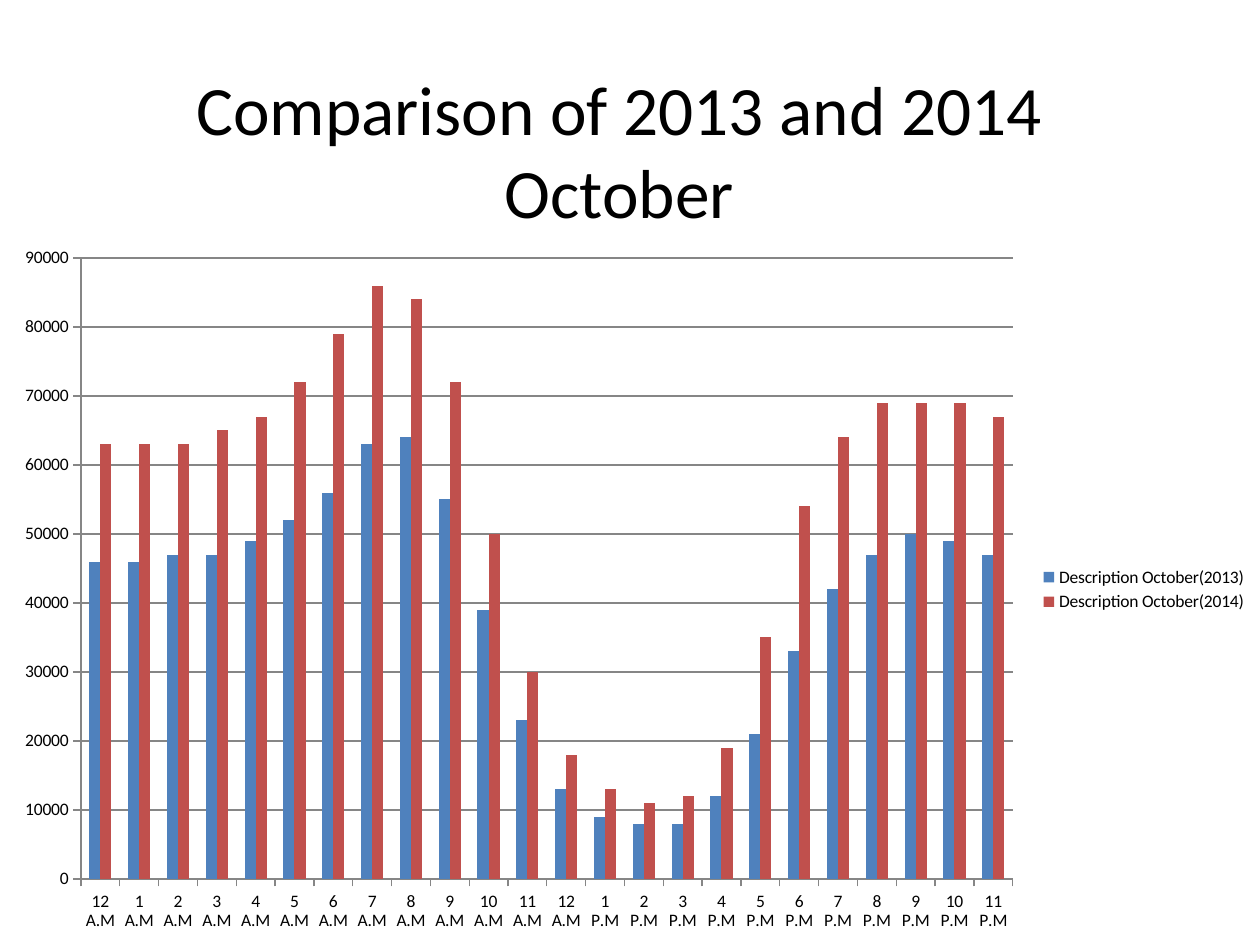
from pptx import Presentation
from pptx.chart.data import CategoryChartData
from pptx.dml.color import RGBColor
from pptx.enum.chart import XL_CHART_TYPE, XL_LEGEND_POSITION, XL_TICK_MARK
from pptx.enum.text import MSO_ANCHOR, MSO_AUTO_SIZE, PP_ALIGN
from pptx.util import Pt

COLUMNS = XL_CHART_TYPE.COLUMN_CLUSTERED
LEGEND_RIGHT = XL_LEGEND_POSITION.RIGHT
TICK_OUTSIDE = XL_TICK_MARK.OUTSIDE
MIDDLE = MSO_ANCHOR.MIDDLE
NO_AUTOFIT = MSO_AUTO_SIZE.NONE
CENTER = PP_ALIGN.CENTER

BLACK = RGBColor(0x00, 0x00, 0x00)
GRAY = RGBColor(0x86, 0x86, 0x86)
BLUE = RGBColor(0x4F, 0x81, 0xBD)
RED = RGBColor(0xC0, 0x50, 0x4D)
FONT = "Calibri"
EMU_PER_PIXEL = 914400 / 126

HOURS = [f"{hour} {half}" for half in ("A.M", "P.M") for hour in (12, *range(1, 12))]
HOURS[12] = "12 A.M"  # the second twelve is labelled A.M as well

# Series name, colour, hourly values in thousands
SERIES = [
    ("Description October(2013)", BLUE,
     [46, 46, 47, 47, 49, 52, 56, 63, 64, 55, 39, 23,
      13, 9, 8, 8, 12, 21, 33, 42, 47, 50, 49, 47]),
    ("Description October(2014)", RED,
     [63, 63, 63, 65, 67, 72, 79, 86, 84, 72, 50, 30,
      18, 13, 11, 12, 19, 35, 54, 64, 69, 69, 69, 67]),
]


def px(length):
    return round(length * EMU_PER_PIXEL)


def set_font(font, size):
    font.name = FONT
    font.size = Pt(size)
    font.color.rgb = BLACK


def place_title(page, box, text):
    title = page.shapes.title
    title.left, title.top, title.width, title.height = map(px, box)
    frame = title.text_frame
    frame.word_wrap = True
    frame.auto_size = NO_AUTOFIT
    frame.vertical_anchor = MIDDLE
    # The bottom inset lifts the heading clear of the chart
    frame.margin_top, frame.margin_bottom = 0, px(76)
    para = frame.paragraphs[0]
    para.text = text
    para.alignment = CENTER
    set_font(para.font, 39.6)


def place_chart(page, box):
    data = CategoryChartData(number_format="General")
    data.categories = HOURS
    for name, _, thousands in SERIES:
        data.add_series(name, [value * 1000 for value in thousands])
    chart = page.shapes.add_chart(COLUMNS, *map(px, box), data).chart
    set_font(chart.font, 10)
    chart.has_title = False

    # Legend
    chart.has_legend = True
    chart.legend.position = LEGEND_RIGHT
    chart.legend.include_in_layout = False

    # Columns
    plot = chart.plots[0]
    plot.gap_width = 150
    plot.overlap = 0
    plot.vary_by_categories = False
    for series, (_, color, _) in zip(plot.series, SERIES):
        series.format.fill.solid()
        series.format.fill.fore_color.rgb = color

    # Axes and gridlines
    values = chart.value_axis
    values.minimum_scale, values.maximum_scale = 0, 90000
    values.major_unit = 10000
    values.has_major_gridlines = True
    for axis in (chart.category_axis, values):
        axis.major_tick_mark = TICK_OUTSIDE
    for part in (chart.category_axis, values, values.major_gridlines):
        part.format.line.color.rgb = GRAY
        part.format.line.width = Pt(0.75)


def build_chart_page(deck):
    page = deck.slides.add_slide(deck.slide_layouts[5])
    place_title(page, (84, 86, 1071, 203), "Comparison of 2013 and 2014 October")
    place_chart(page, (0, 234, 1260, 711))


deck = Presentation()
deck.slide_width, deck.slide_height = px(1260), px(945)
build_chart_page(deck)
deck.save("out.pptx")
